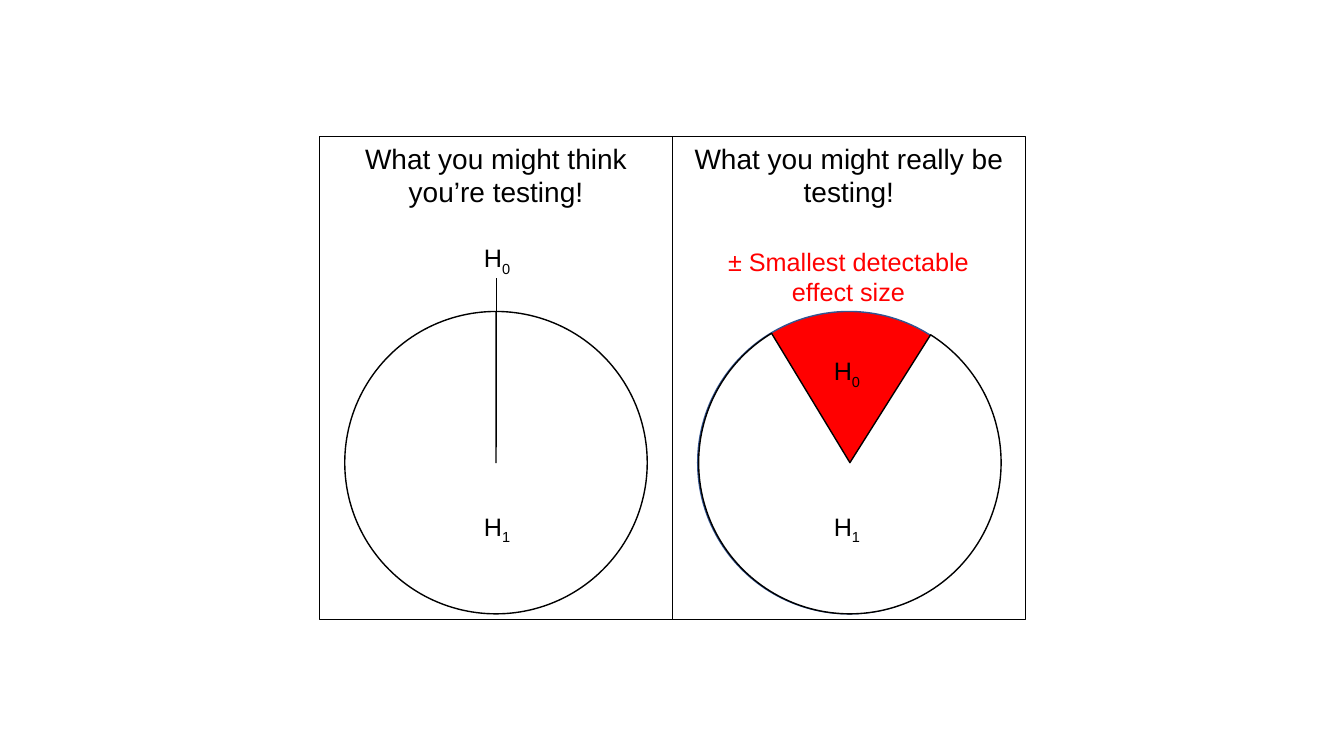
from dataclasses import dataclass

from lxml.etree import SubElement
from pptx import Presentation
from pptx.dml.color import RGBColor
from pptx.enum.shapes import MSO_CONNECTOR, MSO_SHAPE
from pptx.enum.text import MSO_ANCHOR, PP_ALIGN
from pptx.oxml.ns import qn
from pptx.util import Inches, Pt


@dataclass
class Theme:
    font: str = "Arial"
    black: RGBColor = RGBColor(0x00, 0x00, 0x00)
    white: RGBColor = RGBColor(0xFF, 0xFF, 0xFF)
    red: RGBColor = RGBColor(0xFF, 0x00, 0x00)
    blue: RGBColor = RGBColor(0x32, 0x54, 0x91)
    heading: int = 20
    label: int = 18


theme = Theme()
deck = Presentation()
deck.slide_width = Inches(13.33)
deck.slide_height = Inches(7.5)
page = deck.slides.add_slide(deck.slide_layouts[6])


def add_outline(kind, left, top, width, height, fill, line, weight):
    shape = page.shapes.add_shape(
        kind, Inches(left), Inches(top), Inches(width), Inches(height))
    shape.shadow.inherit = False
    if fill is None:
        shape.fill.background()
    else:
        shape.fill.solid()
        shape.fill.fore_color.rgb = fill
    shape.line.color.rgb = line
    shape.line.width = Pt(weight)
    return shape


def write_text(shape, text, size, color, subscript=""):
    frame = shape.text_frame
    frame.vertical_anchor = MSO_ANCHOR.TOP
    frame.word_wrap = not subscript
    paragraph = frame.paragraphs[0]
    paragraph.text = text
    paragraph.alignment = PP_ALIGN.CENTER
    if subscript:
        span = paragraph.add_run()
        span.text = subscript
        span.font._element.set("baseline", "-25000")
    for span in paragraph.runs:
        span.font.name = theme.font
        span.font.size = Pt(size)
        span.font.color.rgb = color


panel_left, panel_top, panel_width, panel_height = 3.17, 1.35, 3.5, 4.8
circle_top, diameter = 3.09, 3
headings = ["What you might think you’re testing!",
            "What you might really be testing!"]
for column, heading in enumerate(headings):
    panel = add_outline(MSO_SHAPE.RECTANGLE, panel_left + column * panel_width,
                        panel_top, panel_width, panel_height,
                        None, theme.black, 0.75)
    write_text(panel, heading, theme.heading, theme.black)

add_outline(MSO_SHAPE.OVAL, 6.92, circle_top, diameter, diameter,
            theme.red, theme.blue, 1)

degree = 0.6
for left, start, end in [(3.42, 270.1, 269.99), (6.93, 302.26, 238.8)]:
    pie = add_outline(MSO_SHAPE.PIE, left, circle_top, diameter, diameter,
                      theme.white, theme.black, 1)
    pie.adjustments[0] = start * degree
    pie.adjustments[1] = end * degree

pointer = page.shapes.add_connector(
    MSO_CONNECTOR.STRAIGHT,
    Inches(4.92), Inches(circle_top), Inches(4.92), Inches(2.76))
pointer.line.color.rgb = theme.black
pointer.line.width = Pt(0.5)
SubElement(pointer._element.spPr, qn("a:effectLst"))

for left, top, subscript in [(4.69, 2.36, "0"), (4.69, 5.02, "1"),
                             (8.16, 3.48, "0"), (8.16, 5.02, "1")]:
    hypothesis = page.shapes.add_textbox(
        Inches(left), Inches(top), Inches(0.48), Inches(0.4))
    write_text(hypothesis, "H", theme.label, theme.black, subscript)

effect_size = page.shapes.add_textbox(
    Inches(6.92), Inches(2.39), Inches(2.99), Inches(0.71))
write_text(effect_size, "± Smallest detectable effect size",
           theme.label, theme.red)

deck.save("out.pptx")
